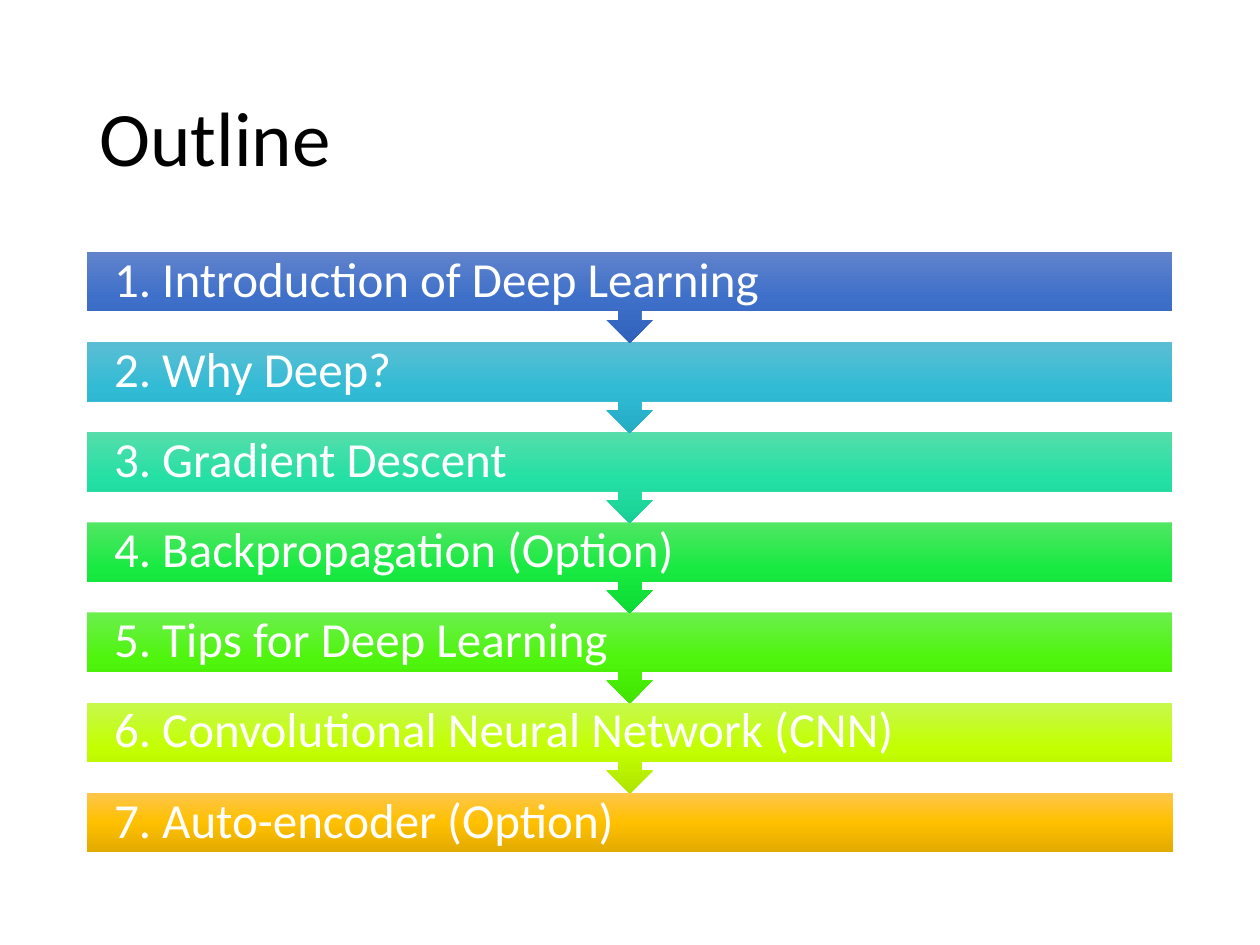
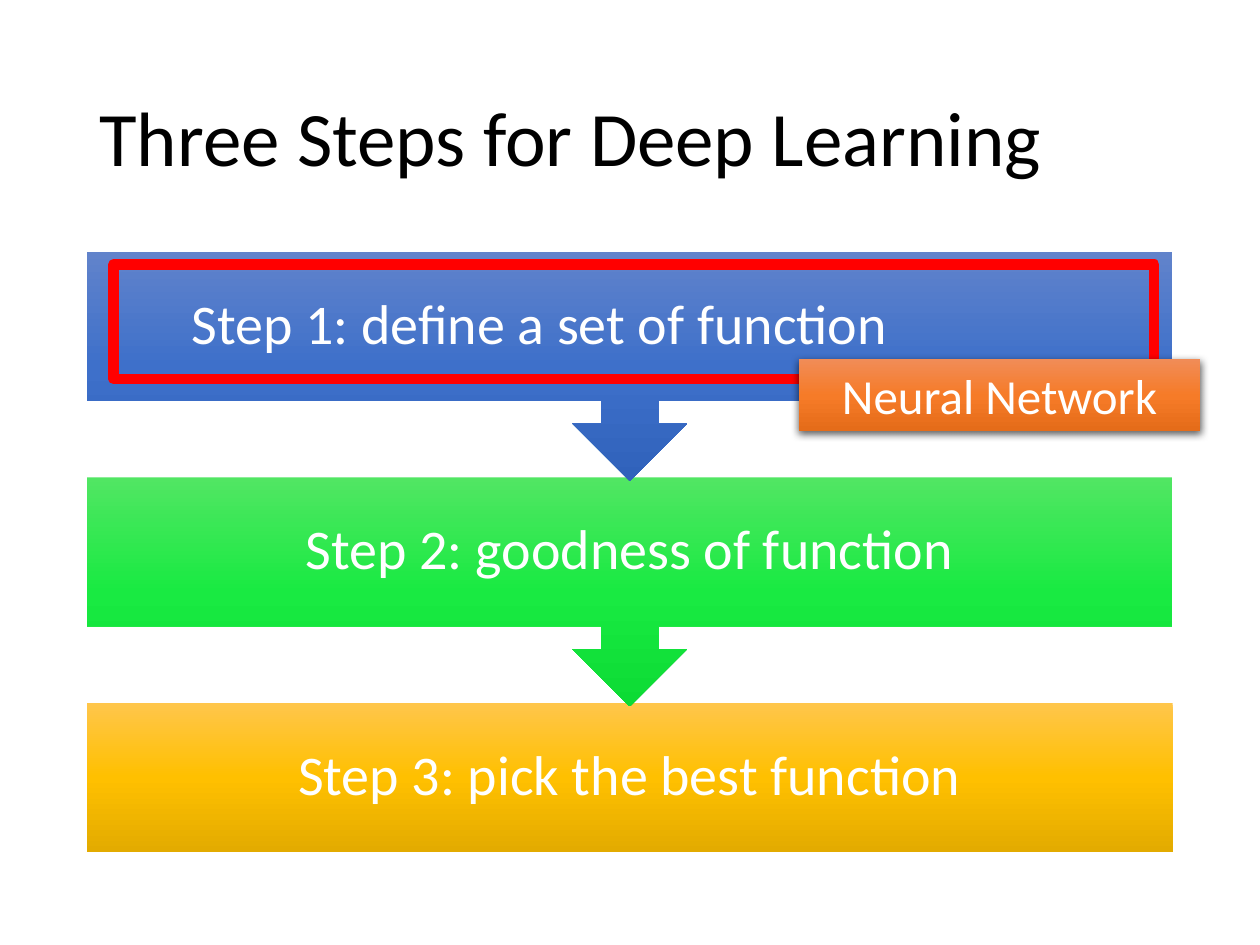
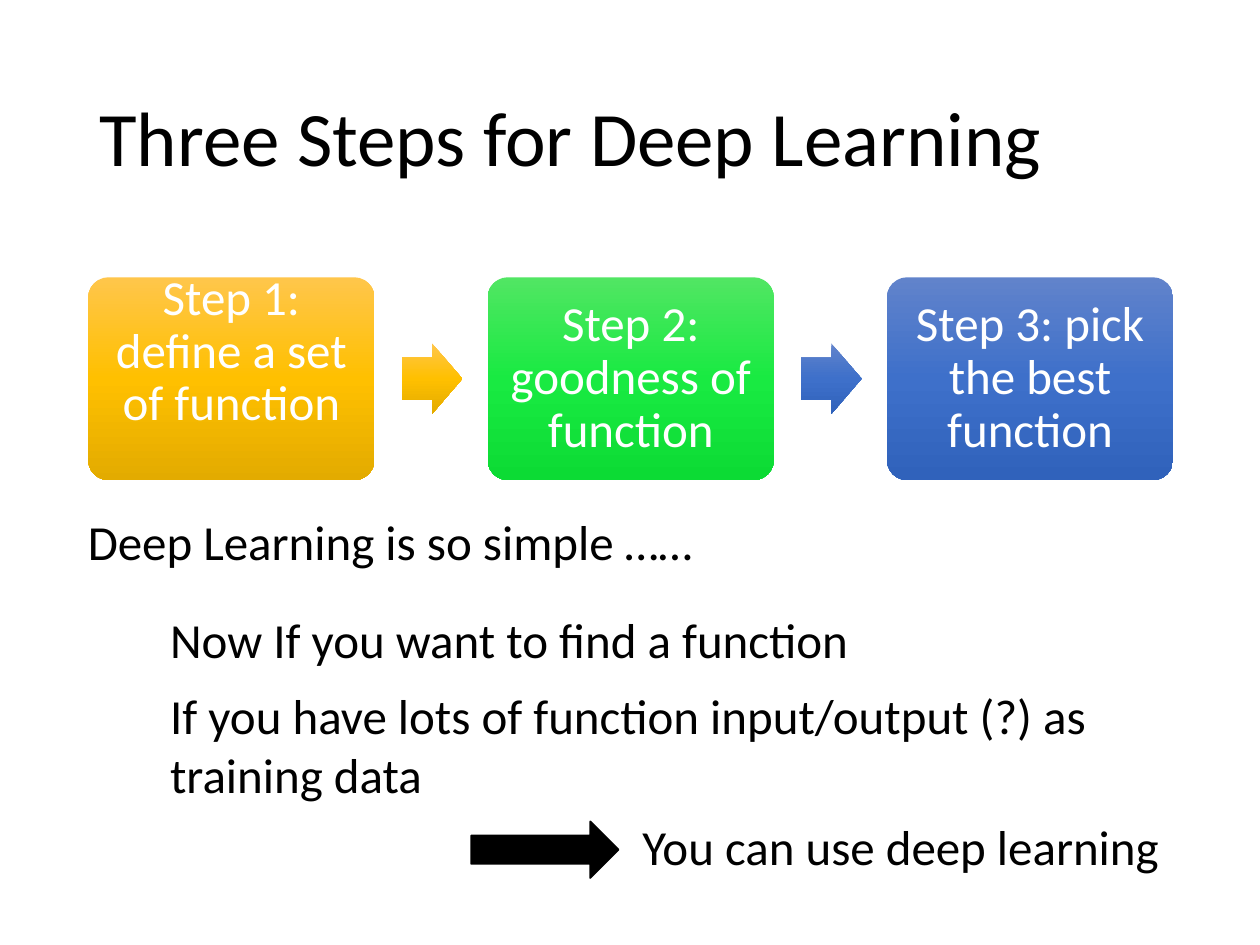
"""Build three slides that introduce the steps of deep learning."""
from copy import deepcopy
from dataclasses import dataclass

from pptx import Presentation
from pptx.dml.color import RGBColor
from pptx.enum.shapes import MSO_SHAPE
from pptx.enum.text import MSO_ANCHOR, MSO_AUTO_SIZE, PP_ALIGN
from pptx.oxml import parse_xml
from pptx.oxml.ns import nsdecls, qn
from pptx.util import Cm, Pt

RECTANGLE = MSO_SHAPE.RECTANGLE
ROUNDED = MSO_SHAPE.ROUNDED_RECTANGLE
CALLOUT = MSO_SHAPE.DOWN_ARROW_CALLOUT
ARROW = MSO_SHAPE.RIGHT_ARROW
LEFT, CENTER = PP_ALIGN.LEFT, PP_ALIGN.CENTER
TOP, MIDDLE = MSO_ANCHOR.TOP, MSO_ANCHOR.MIDDLE
NO_AUTOFIT = MSO_AUTO_SIZE.NONE


@dataclass(frozen=True)
class Theme:
    font: str = "Calibri"
    title_size: int = 44
    step_size: int = 32
    body_size: int = 28
    black: str = "000000"
    white: str = "FFFFFF"
    red: str = "FF0000"
    blue: tuple = ("6183CB", "3E70CA", "3062BB")
    cyan: tuple = ("5BBED4", "32BBD5", "24ACC5")
    teal: tuple = ("55DDAB", "25E0A4", "18D095")
    green: tuple = ("51E663", "19EA42", "0CDB34")
    lime: tuple = ("6BEF4D", "4FF50D", "41E500")
    yellow: tuple = ("C6F94C", "C4FF01", "AFE400")
    gold: tuple = ("FFC64B", "FFC000", "E3AB00")
    orange: tuple = ("F18C57", "F67B28", "E56C19")


THEME = Theme()

OUTLINE = [
    ("1. Introduction of Deep Learning", THEME.blue),
    ("2. Why Deep?", THEME.cyan),
    ("3. Gradient Descent", THEME.teal),
    ("4. Backpropagation (Option)", THEME.green),
    ("5. Tips for Deep Learning", THEME.lime),
    ("6. Convolutional Neural Network (CNN)", THEME.yellow),
    ("7. Auto-encoder (Option)", THEME.gold),
]
STEPS_TITLE = "Three Steps for Deep Learning"
STEPS = [
    "Step 1: define a set of function",
    "Step 2: goodness of function",
    "Step 3: pick the best function",
]
CHAIN_COLOURS = [THEME.blue, THEME.green, THEME.gold]
FLOW_COLOURS = [THEME.gold, THEME.green, THEME.blue]
FLOW_ARROW_COLOURS = [THEME.gold, THEME.blue]
REMARKS = [
    ("Deep Learning is so simple ……", 1.52, 10.19, 12.95, 1.45),
    ("Now If you want to find a function", 3.18, 12.17, 15.62, 1.45),
    ("If you have lots of function input/output (?) as training data", 3.18, 13.69, 20.47, 2.64),
    ("You can use deep learning", 12.7, 16.33, 10.95, 1.45),
]

CONTENT_LEFT, CONTENT_WIDTH = 1.75, 21.89
CHAIN_TOP, CHAIN_BOTTOM = 5.08, 17.17
CALLOUT_BOX_SHARE = 0.65
FLOW_LEFT, FLOW_TOP, FLOW_PITCH = 1.78, 5.59, 8.05
FLOW_WIDTH, FLOW_HEIGHT = 5.77, 4.09
FLOW_ARROW_OFFSET, FLOW_ARROW_WIDTH, FLOW_ARROW_HEIGHT = 6.32, 1.22, 1.42


def write_text(shape, text, size, colour=THEME.white, align=CENTER,
               anchor=MIDDLE, insets=None, line_spacing=None):
    frame = shape.text_frame
    frame.text = text
    frame.word_wrap = True
    frame.auto_size = NO_AUTOFIT
    frame.vertical_anchor = anchor
    if insets:
        frame.margin_left, frame.margin_top, frame.margin_right, frame.margin_bottom = map(Cm, insets)
    paragraph = frame.paragraphs[0]
    paragraph.alignment = align
    paragraph.line_spacing = line_spacing
    paragraph.font.name = THEME.font
    paragraph.font.size = Pt(size)
    paragraph.font.color.rgb = RGBColor.from_string(colour)


def add_gradient_shape(slide, kind, left, top, width, height, colours):
    shape = slide.shapes.add_shape(kind, Cm(left), Cm(top), Cm(width), Cm(height))
    shape.shadow.inherit = False
    shape.line.fill.background()
    shape.fill.gradient()
    shape.fill.gradient_angle = 270
    stop_list = shape.element.spPr.find(qn("a:gradFill")).find(qn("a:gsLst"))
    stop_list.append(deepcopy(stop_list[-1]))
    for stop, position, colour in zip(shape.fill.gradient_stops, (0, 0.5, 1), colours):
        stop.position = position
        stop.color.rgb = RGBColor.from_string(colour)
    return shape


def add_titled_slide(presentation, title):
    slide = presentation.slides.add_slide(presentation.slide_layouts[5])
    placeholder = slide.shapes.title
    placeholder.left, placeholder.top = Cm(CONTENT_LEFT), Cm(1.01)
    placeholder.width, placeholder.height = Cm(CONTENT_WIDTH), Cm(3.68)
    write_text(placeholder, title, THEME.title_size, THEME.black, LEFT, line_spacing=0.9)
    return slide


def add_chain(slide, steps, box_height, size, align, insets):
    """Stack the steps from the bottom up, each callout pointing at the next box."""
    last = len(steps) - 1
    pitch = (CHAIN_BOTTOM - CHAIN_TOP - box_height) / last
    boxes = []
    for index, (text, colours) in reversed(list(enumerate(steps))):
        kind, height = (RECTANGLE, box_height) if index == last else (CALLOUT, box_height / CALLOUT_BOX_SHARE)
        box = add_gradient_shape(slide, kind, CONTENT_LEFT, CHAIN_TOP + index * pitch,
                                 CONTENT_WIDTH, height, colours)
        write_text(box, text, size, align=align, insets=insets, line_spacing=0.9)
        boxes.insert(0, box)
    return boxes


def add_outline_slide(presentation):
    slide = add_titled_slide(presentation, "Outline")
    add_chain(slide, OUTLINE, 1.19, THEME.body_size, LEFT, (0.55, 0, 0.55, 0))


def add_network_slide(presentation):
    slide = add_titled_slide(presentation, STEPS_TITLE)
    boxes = add_chain(slide, list(zip(STEPS, CHAIN_COLOURS)), 3, THEME.step_size,
                      CENTER, (0.64, 0, 0.64, 0))
    boxes[0].text_frame.margin_right = Cm(4.27)

    frame = slide.shapes.add_shape(RECTANGLE, Cm(2.29), Cm(5.33), Cm(20.98), Cm(2.31))
    frame.shadow.inherit = False
    frame.fill.background()
    frame.line.color.rgb = RGBColor.from_string(THEME.red)
    frame.line.width = Pt(6)

    label = add_gradient_shape(slide, RECTANGLE, 16.1, 7.24, 8.1, 1.45, THEME.orange)
    write_text(label, "Neural Network", THEME.body_size)
    label.element.spPr.find(qn("a:effectLst")).append(parse_xml(
        f'<a:outerShdw {nsdecls("a")} blurRad="{Pt(4.5)}" dist="{Pt(1.5)}" dir="5400000" rotWithShape="0">'
        f'<a:srgbClr val="{THEME.black}"><a:alpha val="63000"/></a:srgbClr></a:outerShdw>'))


def add_flow_slide(presentation):
    slide = add_titled_slide(presentation, STEPS_TITLE)
    for index, (text, colours) in enumerate(zip(STEPS, FLOW_COLOURS)):
        box = add_gradient_shape(slide, ROUNDED, FLOW_LEFT + index * FLOW_PITCH, FLOW_TOP,
                                 FLOW_WIDTH, FLOW_HEIGHT, colours)
        box.adjustments[0] = 0.1
        insets = (0.3, 0, 0.3, 1.07 if index == 0 else 0)
        write_text(box, text, THEME.body_size, insets=insets, line_spacing=0.9)
    arrow_top = FLOW_TOP + (FLOW_HEIGHT - FLOW_ARROW_HEIGHT) / 2
    for index, colours in enumerate(FLOW_ARROW_COLOURS):
        arrow = add_gradient_shape(slide, ARROW, FLOW_LEFT + FLOW_ARROW_OFFSET + index * FLOW_PITCH,
                                   arrow_top, FLOW_ARROW_WIDTH, FLOW_ARROW_HEIGHT, colours)
        arrow.adjustments[0] = 0.6

    for text, *place in REMARKS:
        remark = slide.shapes.add_textbox(*map(Cm, place))
        write_text(remark, text, THEME.body_size, THEME.black, LEFT, TOP)

    conclusion_arrow = slide.shapes.add_shape(ARROW, Cm(9.5), Cm(16.56), Cm(2.97), Cm(1.14))
    conclusion_arrow.shadow.inherit = False
    conclusion_arrow.fill.solid()
    conclusion_arrow.fill.fore_color.rgb = RGBColor.from_string(THEME.black)
    conclusion_arrow.line.color.rgb = RGBColor.from_string(THEME.black)
    conclusion_arrow.line.width = Pt(1)


def main():
    presentation = Presentation()
    presentation.slide_width, presentation.slide_height = Cm(25.4), Cm(19.05)
    add_outline_slide(presentation)
    add_network_slide(presentation)
    add_flow_slide(presentation)
    presentation.save("out.pptx")


if __name__ == "__main__":
    main()
